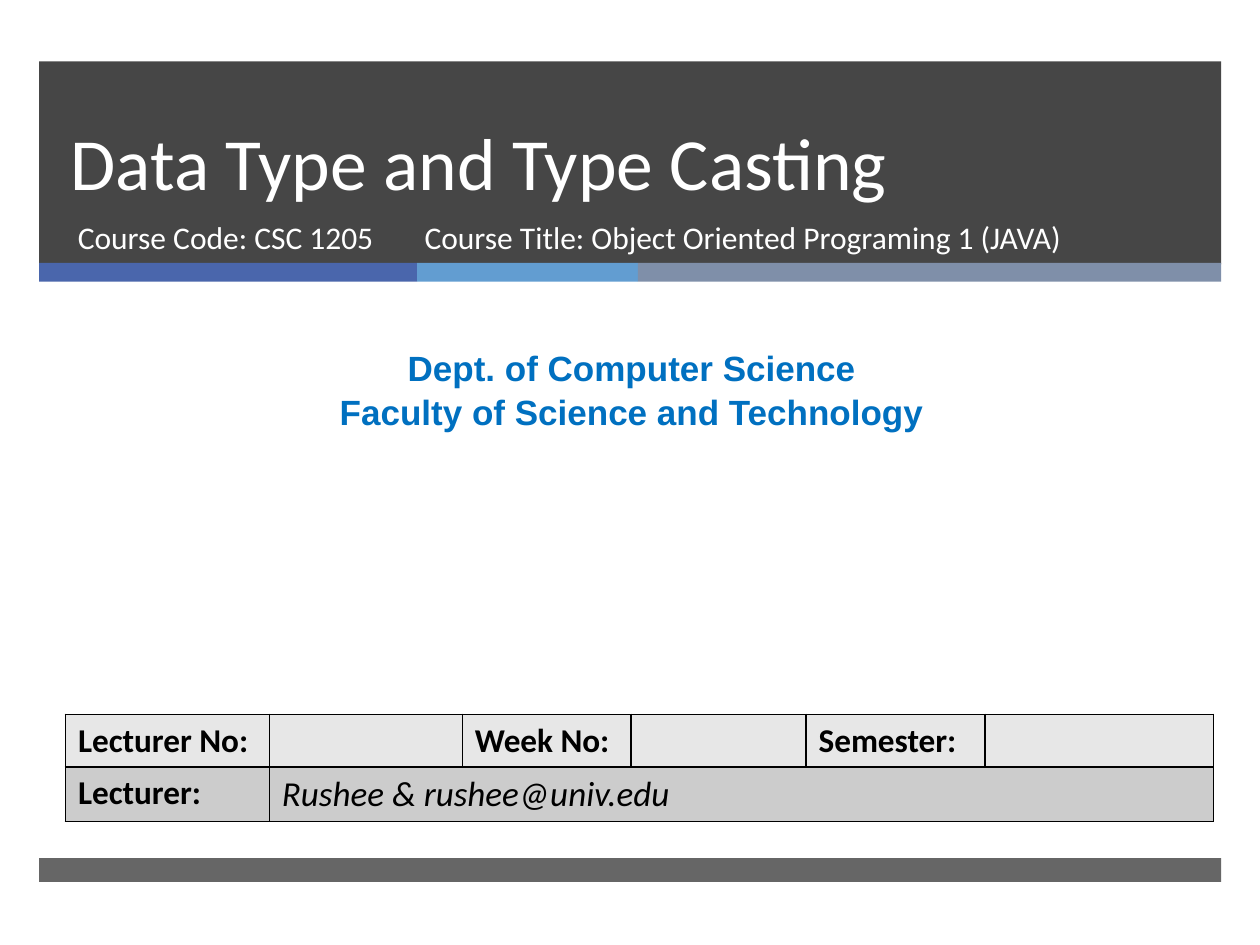
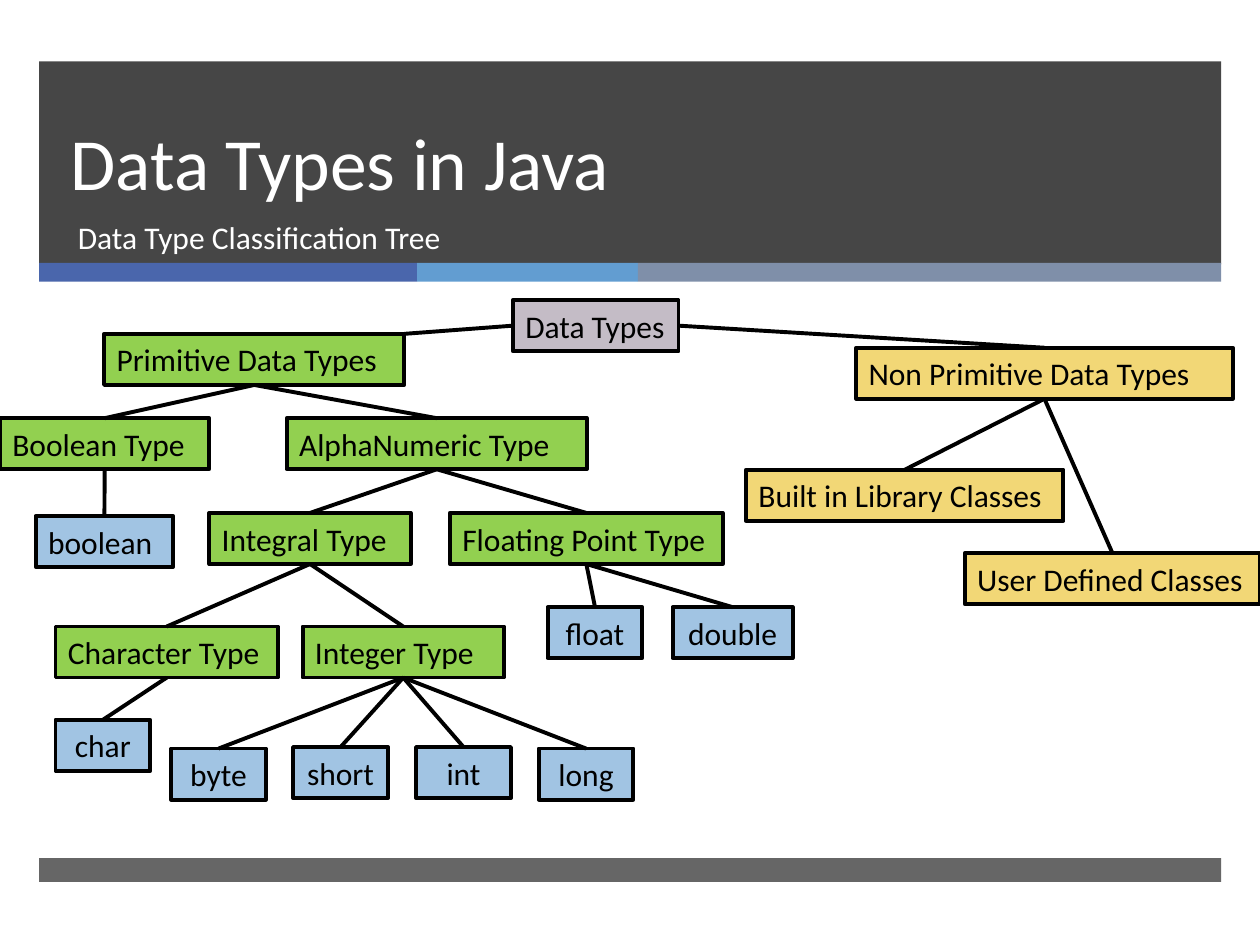
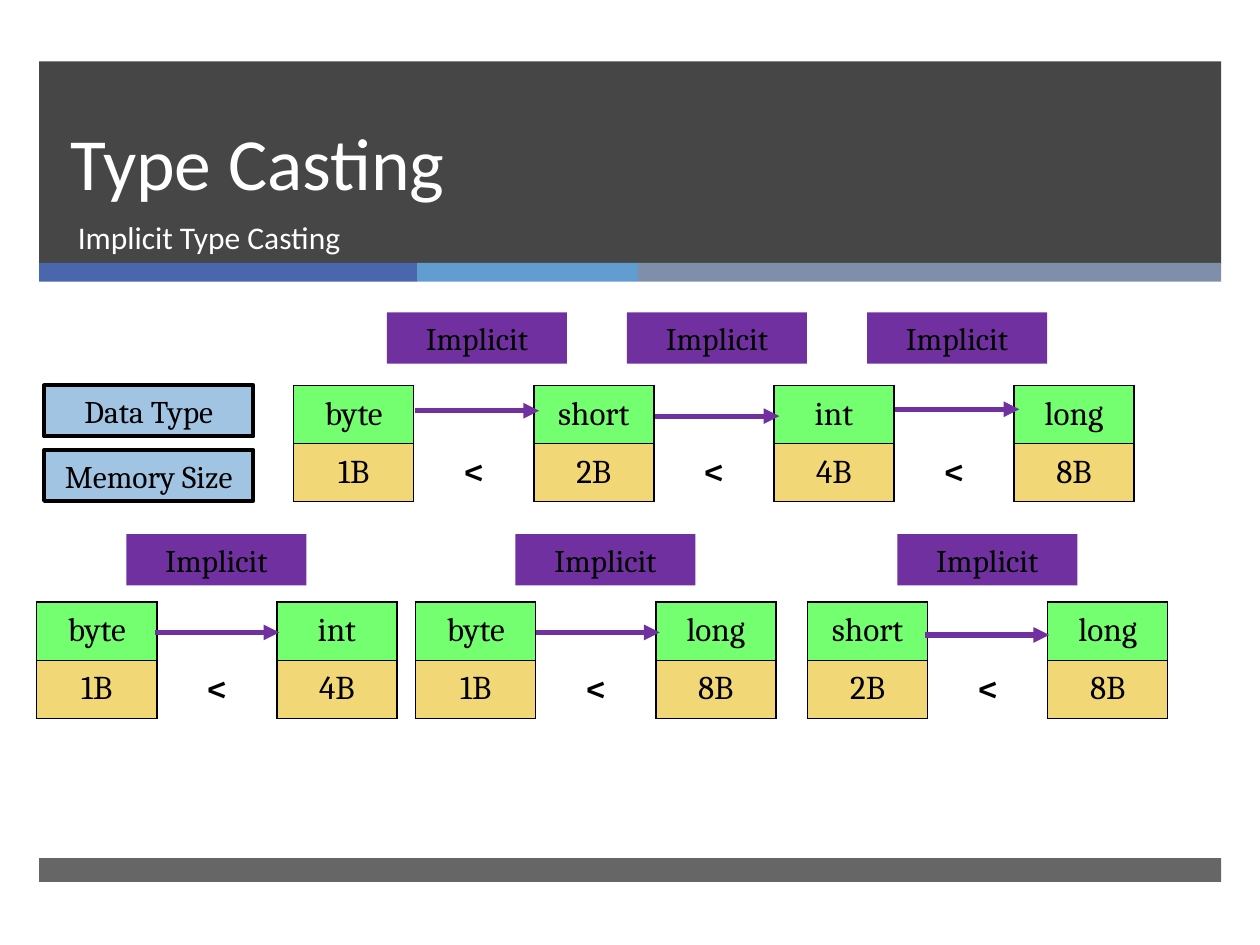
from dataclasses import dataclass
from itertools import accumulate

from lxml.etree import SubElement
from pptx import Presentation
from pptx.dml.color import RGBColor
from pptx.enum.shapes import MSO_CONNECTOR, MSO_SHAPE
from pptx.enum.text import MSO_ANCHOR, MSO_AUTO_SIZE, PP_ALIGN
from pptx.oxml.ns import qn
from pptx.util import Cm, Pt

BLACK = RGBColor(0x00, 0x00, 0x00)
WHITE = RGBColor(0xFF, 0xFF, 0xFF)
CHARCOAL = RGBColor(0x26, 0x26, 0x26)
INDIGO = RGBColor(0x4A, 0x66, 0xAC)
AZURE = RGBColor(0x62, 0x9D, 0xD1)
SLATE = RGBColor(0x7F, 0x8F, 0xA9)
DEPARTMENT_BLUE = RGBColor(0x00, 0x70, 0xC0)
LIGHT_GREY = RGBColor(0xE7, 0xE7, 0xE7)
MID_GREY = RGBColor(0xCC, 0xCC, 0xCC)
MAUVE = RGBColor(0xC4, 0xBC, 0xC6)
GREEN = RGBColor(0x92, 0xD0, 0x50)
SAND = RGBColor(0xF2, 0xD7, 0x76)
SKY = RGBColor(0xA1, 0xC4, 0xE3)
MINT = RGBColor(0x74, 0xFF, 0x71)
PURPLE = RGBColor(0x70, 0x30, 0xA0)

BODY_FONT = "Calibri"
DEPARTMENT_FONT = "Arial"
CASTING_FONT = "Cambria"

BAND_LEFT, BAND_WIDTH = 0.79, 23.83
LABEL_HEIGHT = 1.03
CAST_COLUMN, CAST_ROW = 2.42, 1.17
BYTES = {"byte": 1, "short": 2, "int": 4, "long": 8}


@dataclass
class Node:
    label: str
    parent: str
    left: float
    top: float
    width: float
    color: RGBColor
    align: PP_ALIGN = PP_ALIGN.LEFT

    @property
    def middle(self):
        return self.left + self.width / 2

    @property
    def bottom(self):
        return self.top + LABEL_HEIGHT


@dataclass
class CastChain:
    types: list
    left: float
    top: float
    tag_rise: float
    tag_shift: float
    arrow_shift: float
    arrow_drops: list


TREE = [
    Node("Data Types", "", 10.34, 0, 3.34, MAUVE),
    Node("Primitive Data Types", "Data Types", 2.1, 0.68, 6.05, GREEN),
    Node("Non Primitive Data Types", "Data Types", 17.26, 0.96, 7.59, SAND),
    Node("Built in Library Classes", "Non Primitive Data Types", 15.04, 3.42, 6.4, SAND),
    Node("User Defined Classes", "Non Primitive Data Types", 19.45, 5.1, 5.95, SAND),
    Node("Boolean Type", "Primitive Data Types", 0, 2.38, 4.22, GREEN),
    Node("AlphaNumeric Type", "Primitive Data Types", 5.78, 2.38, 6.05, GREEN),
    Node("Integral Type", "AlphaNumeric Type", 4.22, 4.29, 4.06, GREEN),
    Node("Floating Point Type", "AlphaNumeric Type", 9.07, 4.29, 5.5, GREEN),
    Node("Character Type", "Integral Type", 1.12, 6.58, 4.48, GREEN),
    Node("Integer Type", "Integral Type", 6.1, 6.58, 4.06, GREEN),
    Node("boolean", "Boolean Type", 0.72, 4.35, 2.77, SKY),
    Node("char", "Character Type", 1.12, 8.46, 1.91, SKY, PP_ALIGN.CENTER),
    Node("byte", "Integer Type", 3.45, 9.04, 1.91, SKY, PP_ALIGN.CENTER),
    Node("short", "Integer Type", 5.91, 9.01, 1.91, SKY, PP_ALIGN.CENTER),
    Node("int", "Integer Type", 8.39, 9.01, 1.91, SKY, PP_ALIGN.CENTER),
    Node("long", "Integer Type", 10.86, 9.04, 1.91, SKY, PP_ALIGN.CENTER),
    Node("float", "Floating Point Type", 11.04, 6.19, 1.91, SKY, PP_ALIGN.CENTER),
    Node("double", "Floating Point Type", 13.56, 6.19, 2.42, SKY, PP_ALIGN.CENTER),
]

CAST_CHAINS = [
    CastChain(["byte", "short", "int", "long"], 5.92, 7.77, 1.47, -0.54, 0.03,
              [0.51, 0.62, 0.48]),
    CastChain(["byte", "int"], 0.74, 12.14, 1.37, -0.61, -0.03, [0.61]),
    CastChain(["byte", "long"], 8.38, 12.14, 1.37, -0.41, 0, [0.61]),
    CastChain(["short", "long"], 16.28, 12.14, 1.37, -0.61, -0.05, [0.66]),
]


def write(frame, text, size, color=BLACK, font=BODY_FONT, align=PP_ALIGN.LEFT,
          bold=False, italic=False):
    frame.text = text
    for paragraph in frame.paragraphs:
        paragraph.alignment = align
        for run in paragraph.runs:
            run.font.name = font
            run.font.size = Pt(size)
            run.font.color.rgb = color
            run.font.bold = bold
            run.font.italic = italic


def add_text(slide, text, left, top, width, height, size, color, **style):
    frame = slide.shapes.add_textbox(Cm(left), Cm(top), Cm(width), Cm(height)).text_frame
    frame.word_wrap = True
    write(frame, text, size, color, **style)
    return frame


def add_block(slide, left, top, width, height, color, opacity=100):
    block = slide.shapes.add_shape(
        MSO_SHAPE.RECTANGLE, Cm(left), Cm(top), Cm(width), Cm(height))
    block.shadow.inherit = False
    block.fill.solid()
    block.fill.fore_color.rgb = color
    block.line.fill.background()
    if opacity < 100:
        tint = block.element.spPr.find(".//" + qn("a:srgbClr"))
        SubElement(tint, qn("a:alpha"), val=str(opacity * 1000))
    return block


def add_label(slide, text, left, top, width, color, outlined=True, **style):
    label = add_block(slide, left, top, width, LABEL_HEIGHT, color)
    if outlined:
        label.line.color.rgb = BLACK
        label.line.width = Pt(2.25)
    label.text_frame.word_wrap = True
    write(label.text_frame, text, 18, **style)


def add_line(slide, start, end, color, width, arrow=False):
    line = slide.shapes.add_connector(
        MSO_CONNECTOR.STRAIGHT, *(Cm(length) for length in (*start, *end)))
    line.line.color.rgb = color
    line.line.width = Pt(width)
    properties = line.element.spPr
    if arrow:
        SubElement(properties.find(qn("a:ln")), qn("a:tailEnd"), type="triangle")
    SubElement(properties, qn("a:effectLst"))


def set_borders(cell, sides):
    properties = cell._tc.get_or_add_tcPr()
    for side in "LRTB":
        border = SubElement(properties, qn(f"a:ln{side}"), w=str(Pt(1)))
        if side in sides:
            solid = SubElement(border, qn("a:solidFill"))
            SubElement(solid, qn("a:srgbClr"), val=str(BLACK))
        else:
            SubElement(border, qn("a:noFill"))


def paint_cell(cell, color=None):
    set_borders(cell, "LRTB" if color else "LR")
    if color:
        cell.fill.solid()
        cell.fill.fore_color.rgb = color
    else:
        cell.fill.background()


def add_grid(slide, left, top, widths, heights):
    table = slide.shapes.add_table(
        len(heights), len(widths), Cm(left), Cm(top),
        Cm(sum(widths)), Cm(sum(heights))).table
    table.first_row = False
    table.horz_banding = False
    for column, width in zip(table.columns, widths):
        column.width = Cm(width)
    for row, height in zip(table.rows, heights):
        row.height = Cm(height)
    return table


def dress_layout(slide):
    stripe_widths = [7.62, 4.45, 11.76]
    stripe_lefts = accumulate(stripe_widths[:-1], initial=BAND_LEFT)
    decorations = [add_block(slide, BAND_LEFT, 1.24, BAND_WIDTH, 4.09, CHARCOAL, 85)]
    for left, width, color in zip(stripe_lefts, stripe_widths, (INDIGO, AZURE, SLATE)):
        decorations.append(add_block(slide, left, 5.3, width, 0.38, color))
    decorations.append(add_block(slide, BAND_LEFT, 17.3, BAND_WIDTH, 0.48, CHARCOAL, 70))
    for number, decoration in enumerate(decorations, 100):
        decoration.element.nvSpPr.cNvPr.id = number
        slide.slide_layout.shapes.element.append(decoration.element)


def add_heading(slide, heading, subheading, subheading_width=21.54):
    title = slide.shapes.title
    title.left, title.top, title.width, title.height = Cm(1.17), Cm(1.24), Cm(21.69), Cm(3.02)
    frame = title.text_frame
    frame.auto_size = MSO_AUTO_SIZE.NONE
    frame.word_wrap = True
    frame.vertical_anchor = MSO_ANCHOR.BOTTOM
    write(frame, heading, 42, WHITE)
    frame.paragraphs[0].line_spacing = Pt(46)
    add_text(slide, subheading, 1.32, 4.27, subheading_width, 1.35, 18, WHITE)


def add_lecture_table(slide, left, top):
    lecture = add_grid(slide, left, top, [4.11, 3.89, 3.4, 3.53, 3.61, 4.6], [1.06, 1.1])
    for row, color in enumerate((LIGHT_GREY, MID_GREY)):
        for column in range(6):
            paint_cell(lecture.cell(row, column), color)
    lecture.cell(1, 1).merge(lecture.cell(1, 5))
    for row, column, caption in ((0, 0, "Lecturer No:"), (0, 2, "Week No:"),
                                 (0, 4, "Semester:"), (1, 0, "Lecturer:")):
        write(lecture.cell(row, column).text_frame, caption, 19, bold=True)
    write(lecture.cell(1, 1).text_frame, "Rushee & rushee@univ.edu", 20, italic=True)


def add_type_tree(slide, left, top):
    nodes = {node.label: node for node in TREE}
    for node in TREE:
        add_label(slide, node.label, left + node.left, top + node.top,
                  node.width, node.color, align=node.align)
    for node in TREE[1:]:
        parent = nodes[node.parent]
        start, end = (parent.middle, parent.bottom), (node.middle, node.top)
        if parent is TREE[0]:
            half_height = parent.top + LABEL_HEIGHT / 2
            if node.left < parent.left:
                start, end = (parent.left, half_height), (node.left + node.width, node.top)
            else:
                start = (parent.left + parent.width, half_height)
        add_line(slide, (left + start[0], top + start[1]),
                 (left + end[0], top + end[1]), BLACK, 2.25)


def add_cast_chain(slide, chain):
    column_count = 2 * len(chain.types) - 1
    casts = add_grid(slide, chain.left, chain.top,
                     [CAST_COLUMN] * column_count, [CAST_ROW] * 2)
    for column in range(column_count):
        is_gap = column % 2 == 1
        name = chain.types[column // 2]
        captions = ("", "<") if is_gap else (name, f"{BYTES[name]}B")
        for row, color in enumerate((MINT, SAND)):
            cell = casts.cell(row, column)
            paint_cell(cell, None if is_gap else color)
            cell.vertical_anchor = MSO_ANCHOR.MIDDLE
            write(cell.text_frame, captions[row], 20 if is_gap else 19,
                  font=CASTING_FONT, align=PP_ALIGN.CENTER, bold=is_gap)
    for step, drop in enumerate(chain.arrow_drops):
        gap_left = chain.left + (2 * step + 1) * CAST_COLUMN
        arrow_left, arrow_top = gap_left + chain.arrow_shift, chain.top + drop
        add_line(slide, (arrow_left, arrow_top), (arrow_left + 2.5, arrow_top),
                 PURPLE, 3, arrow=True)
        add_label(slide, "Implicit", gap_left + chain.tag_shift, chain.top - chain.tag_rise,
                  3.63, PURPLE, outlined=False, font=CASTING_FONT, align=PP_ALIGN.CENTER)


def add_row_captions(slide, left, top):
    for row, caption in enumerate(("Data Type", "Memory Size")):
        add_label(slide, caption, left, top + row * 1.3, 4.22, SKY,
                  font=CASTING_FONT, align=PP_ALIGN.CENTER)


def build_cover(slide):
    add_heading(slide, "Data Type and Type Casting", "Course Code: CSC 1205", 7.75)
    add_text(slide, "Course Title: Object Oriented Programing 1 (JAVA)",
             8.31, 4.27, 13.74, 1.35, 18, WHITE)
    department = add_text(
        slide, "Dept. of Computer Science\nFaculty of Science and Technology",
        0.2, 6.81, 25.07, 1.96, 20, DEPARTMENT_BLUE,
        font=DEPARTMENT_FONT, align=PP_ALIGN.CENTER, bold=True)
    for paragraph in department.paragraphs:
        paragraph.line_spacing = 1.05
    add_lecture_table(slide, 1.32, 14.4)


def build_classification(slide):
    add_heading(slide, "Data Types in Java", "Data Type Classification Tree")
    add_type_tree(slide, 0, 6.05)


def build_casting(slide):
    add_heading(slide, "Type Casting", "Implicit Type Casting")
    add_row_captions(slide, 0.89, 7.77)
    for chain in CAST_CHAINS:
        add_cast_chain(slide, chain)


def main():
    deck = Presentation()
    deck.slide_width, deck.slide_height = Cm(25.4), Cm(19.05)
    title_only = deck.slide_layouts[5]
    builders = (build_cover, build_classification, build_casting)
    slides = [deck.slides.add_slide(title_only) for _ in builders]
    dress_layout(slides[0])
    for build, slide in zip(builders, slides):
        build(slide)
    deck.save("out.pptx")


if __name__ == "__main__":
    main()
